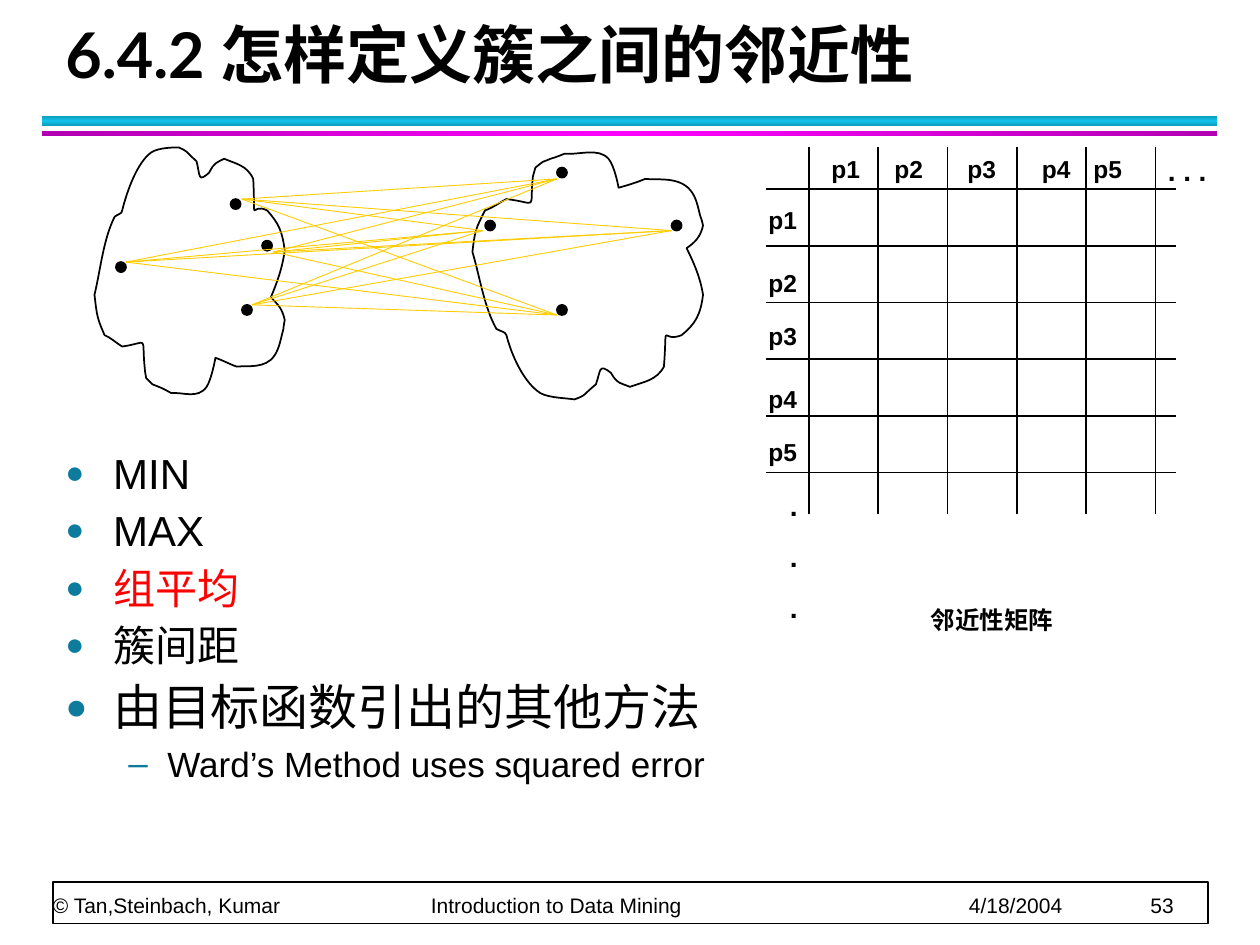
from copy import deepcopy
from itertools import product

from lxml.etree import SubElement
from pptx import Presentation
from pptx.dml.color import RGBColor
from pptx.enum.shapes import MSO_CONNECTOR as CONN, MSO_SHAPE as SHAPE
from pptx.enum.text import MSO_ANCHOR as ANCHOR, PP_ALIGN as ALIGN
from pptx.oxml.ns import qn
from pptx.util import Cm, Pt

BLACK = RGBColor(0x00, 0x00, 0x00)
WHITE = RGBColor(0xFF, 0xFF, 0xFF)
RED = RGBColor(0xFF, 0x00, 0x00)
GOLD = RGBColor(0xFF, 0xCC, 0x00)
TEAL = RGBColor(0x0C, 0x7B, 0x9C)
CYAN_DARK, CYAN = RGBColor(0x0E, 0x9B, 0xBA), RGBColor(0x12, 0xC2, 0xE9)
PURPLE, MAGENTA = RGBColor(0xB2, 0x00, 0xB2), RGBColor(0xFF, 0x00, 0xFF)

# Cluster outlines: a start point, then cubic segments (two controls, end)
LEFT_CLUSTER = (0.91, 1.72), [
    (0.82, 1.9, 0.8, 2.13, 0.75, 2.34), (0.77, 2.51, 0.77, 2.52, 0.83, 2.66),
    (0.88, 2.68, 0.92, 2.72, 0.97, 2.75), (1.19, 2.72, 1.12, 2.65, 1.15, 2.93),
    (1.15, 2.96, 1.16, 2.98, 1.16, 3), (1.23, 3.07, 1.19, 3.04, 1.26, 3.07),
    (1.29, 3.08, 1.36, 3.12, 1.36, 3.12), (1.45, 3.11, 1.57, 3.17, 1.64, 3.07),
    (1.68, 3.01, 1.71, 2.84, 1.71, 2.84), (1.77, 2.86, 1.82, 2.89, 1.88, 2.91),
    (1.96, 2.9, 2.11, 2.93, 2.18, 2.82), (2.22, 2.76, 2.23, 2.68, 2.25, 2.61),
    (2.25, 2.59, 2.26, 2.54, 2.26, 2.54), (2.24, 2.45, 2.21, 2.42, 2.15, 2.36),
    (2.2, 2.24, 2.24, 2.13, 2.26, 1.99), (2.24, 1.83, 2.21, 1.77, 2.12, 1.67),
    (1.98, 1.6, 2.03, 1.82, 2.01, 1.42), (1.96, 1.31, 1.87, 1.3, 1.78, 1.26),
    (1.72, 1.29, 1.7, 1.29, 1.66, 1.37), (1.57, 1.45, 1.59, 1.4, 1.56, 1.28),
    (1.45, 1.18, 1.5, 1.21, 1.42, 1.17), (1.38, 1.17, 1.26, 1.17, 1.2, 1.21),
    (1.09, 1.29, 1.01, 1.51, 0.97, 1.67), (0.97, 1.7, 0.93, 1.7, 0.91, 1.72)]
RIGHT_CLUSTER = (3.94, 2.61), [
    (3.84, 2.43, 3.81, 2.2, 3.75, 2), (3.77, 1.82, 3.78, 1.81, 3.85, 1.67),
    (3.91, 1.65, 3.96, 1.61, 4.02, 1.58), (4.28, 1.61, 4.2, 1.68, 4.23, 1.4),
    (4.24, 1.38, 4.24, 1.35, 4.25, 1.33), (4.34, 1.26, 4.28, 1.3, 4.37, 1.26),
    (4.41, 1.25, 4.48, 1.22, 4.48, 1.22), (4.6, 1.23, 4.75, 1.17, 4.83, 1.26),
    (4.88, 1.32, 4.91, 1.49, 4.91, 1.49), (4.98, 1.47, 5.05, 1.45, 5.12, 1.42),
    (5.22, 1.43, 5.39, 1.4, 5.48, 1.51), (5.53, 1.57, 5.54, 1.65, 5.56, 1.72),
    (5.57, 1.74, 5.58, 1.79, 5.58, 1.79), (5.56, 1.88, 5.52, 1.92, 5.45, 1.97),
    (5.51, 2.09, 5.56, 2.21, 5.58, 2.34), (5.56, 2.5, 5.52, 2.57, 5.41, 2.66),
    (5.24, 2.73, 5.3, 2.51, 5.27, 2.91), (5.21, 3.02, 5.11, 3.03, 5, 3.07),
    (4.93, 3.04, 4.9, 3.05, 4.85, 2.96), (4.75, 2.88, 4.77, 2.94, 4.73, 3.05),
    (4.6, 3.16, 4.66, 3.13, 4.56, 3.17), (4.51, 3.16, 4.36, 3.16, 4.29, 3.12),
    (4.16, 3.04, 4.06, 2.82, 4.02, 2.66), (4.01, 2.63, 3.97, 2.63, 3.94, 2.61)]


def inch(value):
    return Cm(value * 2.54)


def add_text(tf, text, size=14, bold=False, color=BLACK, font="Arial",
             align=None, before=None, after=None, spacing=None):
    """Write one paragraph, using the first one while it is still empty."""
    p = tf.paragraphs[-1]
    if p.runs:
        p = tf.add_paragraph()
    p.alignment, p.line_spacing = align, spacing
    p.space_before, p.space_after = before, after
    r = p.add_run()
    r.text = text
    r.font.name, r.font.size, r.font.bold = font, Pt(size), bold
    r.font.color.rgb = color
    return p


class Canvas:
    """The current slide and its drawing style."""

    line_width = Pt(1)

    def __init__(self, slide):
        self.s = slide

    def shape(self, kind, x, y, w, h, fill):
        sp = self.s.shapes.add_shape(kind, *map(inch, (x, y, w, h)))
        sp.shadow.inherit = False
        sp.fill.solid()
        sp.fill.fore_color.rgb = fill
        sp.line.color.rgb, sp.line.width = BLACK, self.line_width
        return sp

    def band(self, y, h, edge, middle, angle):
        sp = self.shape(SHAPE.RECTANGLE, 0.33, y, 9.33, h, edge)
        sp.line.fill.background()
        sp.fill.gradient()
        sp.fill.gradient_angle = angle
        stops = sp.element.find(".//" + qn("a:gsLst"))
        stops.insert(1, deepcopy(stops[0]))
        for stop, pos, color in zip(sp.fill.gradient_stops, (0, 0.5, 1), (edge, middle, edge)):
            stop.position, stop.color.rgb = pos, color

    def line(self, start, end, color=BLACK, width=line_width):
        c = self.s.shapes.add_connector(CONN.STRAIGHT, *map(inch, (*start, *end)))
        c.line.color.rgb, c.line.width = color, width
        SubElement(c.element.spPr, qn("a:effectLst"))

    def outline(self, start, segments):
        builder = self.s.shapes.build_freeform(*map(inch, start))
        builder.add_line_segments([(inch(seg[4]), inch(seg[5])) for seg in segments], close=True)
        sp = builder.convert_to_shape()
        sp.shadow.inherit = False
        sp.fill.background()
        sp.line.color.rgb, sp.line.width = BLACK, self.line_width
        # Turn each straight segment into its cubic curve
        for step, seg in zip(sp.element.findall(".//" + qn("a:lnTo")), segments):
            curve = step.getparent().makeelement(qn("a:cubicBezTo"))
            for x, y in zip(seg[::2], seg[1::2]):
                SubElement(curve, qn("a:pt"), x=str(inch(x) - sp.left), y=str(inch(y) - sp.top))
            step.getparent().replace(step, curve)

    def textbox(self, x, y, w, h, anchor=ANCHOR.TOP):
        tf = self.s.shapes.add_textbox(*map(inch, (x, y, w, h))).text_frame
        tf.word_wrap, tf.vertical_anchor = True, anchor
        return tf

    def label(self, text, x, y, w=0.58, h=0.34, size=14, before=8.8, align=None):
        tf = self.textbox(x, y, w, h)
        for part in text.split("\n"):
            add_text(tf, part, size, True, before=Pt(before), align=align)

    def bullet(self, tf, text, char="●", percent=75, left=0.38, hang=0.38, level=0, **fmt):
        p = add_text(tf, text, before=Pt(2), after=Pt(2), **fmt)
        p.level = level
        pPr = p._p.get_or_add_pPr()
        pPr.set("marL", str(inch(left)))
        pPr.set("indent", str(-inch(hang)))
        SubElement(SubElement(pPr, qn("a:buClr")), qn("a:srgbClr"), val=str(TEAL))
        SubElement(pPr, qn("a:buSzPct"), val=str(percent * 1000))
        SubElement(pPr, qn("a:buFont"), typeface="Arial")
        SubElement(pPr, qn("a:buChar"), char=char)


def main():
    prs = Presentation()
    prs.slide_width, prs.slide_height = inch(10), inch(7.5)
    c = Canvas(prs.slides.add_slide(prs.slide_layouts[6]))

    # Title and header bands
    c.band(0.92, 0.08, CYAN_DARK, CYAN, 90)
    c.band(1.04, 0.04, PURPLE, MAGENTA, 0)
    tf = c.textbox(0.42, 0.17, 9.06, 0.6, ANCHOR.BOTTOM)
    add_text(tf, "6.4.2 怎样定义簇之间的邻近性", 36, True, font="Lato", spacing=Pt(36))

    # Footer, laid out with tab stops
    c.shape(SHAPE.RECTANGLE, 0.42, 7, 9.17, 0.33, WHITE)
    tf = c.textbox(0.42, 6.72, 9.15, 0.56, ANCHOR.BOTTOM)
    tf.margin_left = tf.margin_right = tf.margin_top = tf.margin_bottom = 0
    p = add_text(tf, "© Tan,Steinbach, Kumar\tIntroduction to Data Mining\t4/18/2004\t53",
                 12, spacing=Pt(20))
    tabs = SubElement(p._p.get_or_add_pPr(), qn("a:tabLst"))
    for pos in (3, 7.27, 8.71):
        SubElement(tabs, qn("a:tab"), pos=str(inch(pos)), algn="l")

    # Proximity matrix
    for i in range(6):
        x, y = 6.42 + 0.55 * i, 1.5 + 0.45 * i
        c.line((x, 1.17), (x, 4.08))
        c.line((6.08, y), (9.33, y))
    columns, rows = (6.5, 7, 7.58, 8.17, 8.58), (1.58, 2.08, 2.5, 3, 3.42)
    for i, (x, y) in enumerate(zip(columns, rows), 1):
        c.label(f"p{i}", x, 1.17)
        c.label(f"p{i}", 6, y)
    c.label(". . .", 9.17, 1.17, h=0.37, size=16, before=10)
    c.label(".\n.\n.", 6.17, 3.83, h=1.18, size=16, before=10)
    c.label("邻近性矩阵", 6.5, 4.75, w=2.75, align=ALIGN.CENTER)

    # Clusters and their points
    c.outline(*LEFT_CLUSTER)
    c.outline(*RIGHT_CLUSTER)
    for x, y in ((1.92, 2.42), (1.83, 1.58), (0.92, 2.08), (2.08, 1.91),
                 (5.33, 1.75), (3.85, 1.75), (4.42, 2.42), (4.42, 1.33)):
        c.shape(SHAPE.OVAL, x, y, 0.08, 0.08, BLACK)

    # Links between every pair of points
    starts = (2, 2.42), (2.17, 2), (1, 2.08), (1.92, 1.58)
    ends = (4.42, 2.5), (3.83, 1.83), (4.42, 1.42), (5.33, 1.83)
    for start, end in product(starts, ends):
        c.line(start, end, GOLD, Pt(0.5))

    # Proximity definitions
    tf = c.textbox(0.42, 3.5, 6.33, 3.42)
    for text, color in (("MIN", BLACK), ("MAX", BLACK), ("组平均", RED), ("簇间距", BLACK)):
        c.bullet(tf, text, size=24, color=color)
    c.bullet(tf, "由目标函数引出的其他方法", size=28)
    c.bullet(tf, "Ward’s Method uses squared error", "–", 100, 0.81, 0.31, 1, size=20)

    prs.save("out.pptx")


if __name__ == "__main__":
    main()
